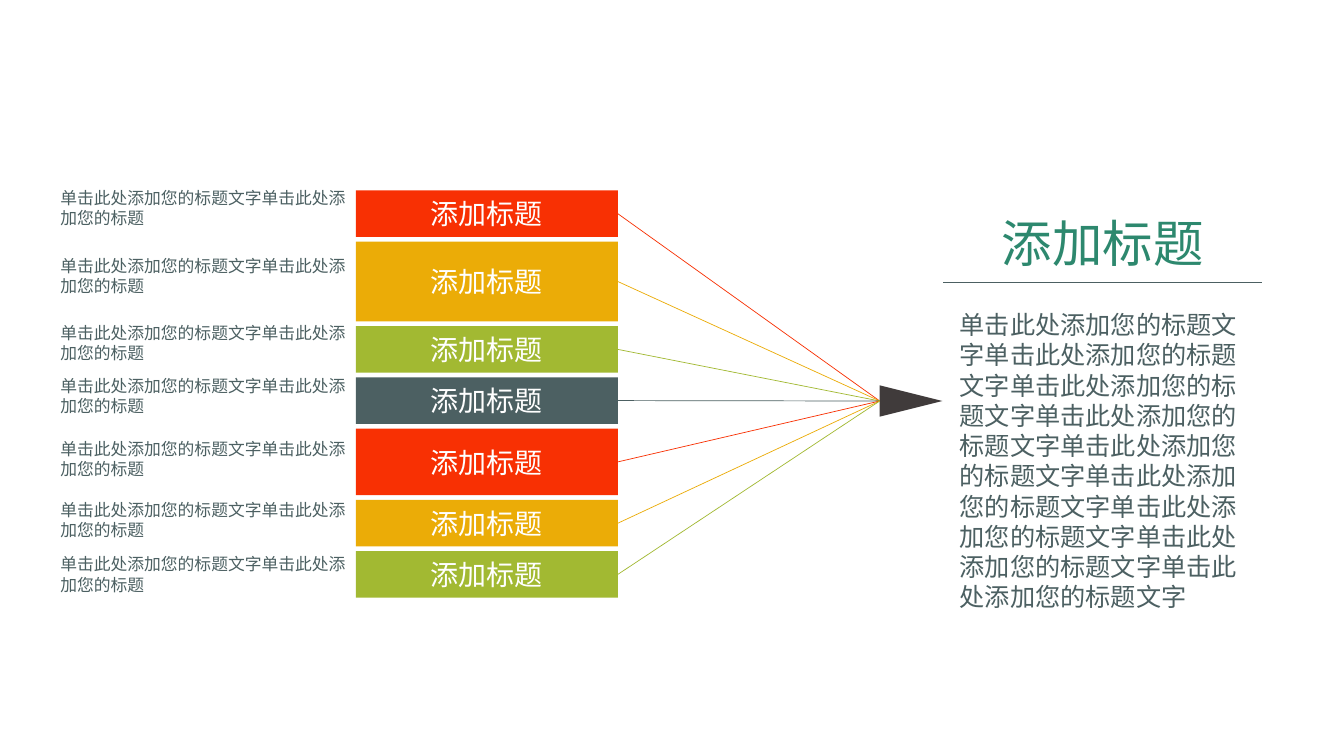
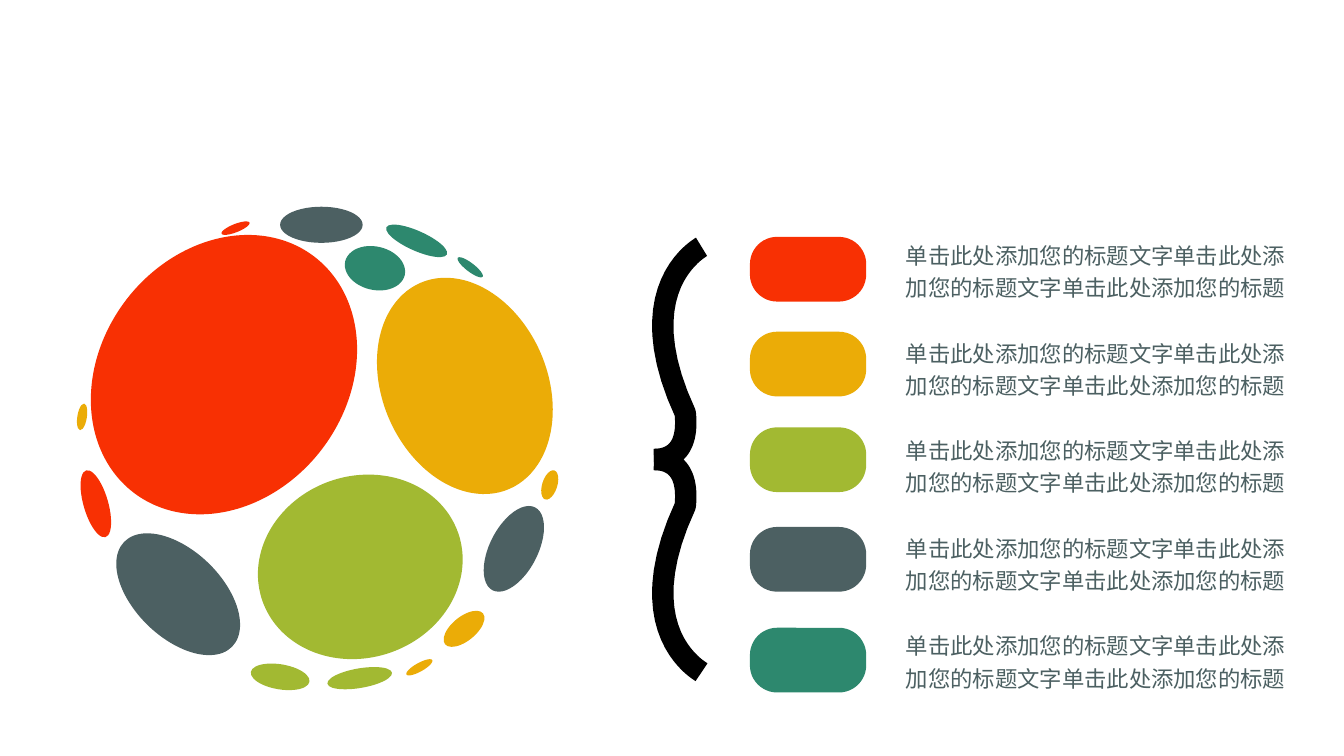
import math

from lxml import etree
from pptx import Presentation
from pptx.dml.color import RGBColor
from pptx.enum import shapes, text
from pptx.oxml import ns
from pptx.util import Cm, Pt

FONT = "Noto Sans CJK SC"
RED = RGBColor(0xF8, 0x30, 0x03)
AMBER = RGBColor(0xEB, 0xAC, 0x07)
LIME = RGBColor(0xA2, 0xB9, 0x32)
SLATE = RGBColor(0x4C, 0x60, 0x62)
TEAL = RGBColor(0x2D, 0x88, 0x6E)
CHARCOAL = RGBColor(0x40, 0x3B, 0x3B)
BLACK = RGBColor(0, 0, 0)
WHITE = RGBColor(0xFF, 0xFF, 0xFF)

HEADING = "添加标题"
CAPTION = "单击此处添加您的标题"
PHRASE = CAPTION + "文字"

# Bars from top to bottom: colour, height and top of the caption in cm
BARS = [
    (RED, 1.17, 4.60), (AMBER, 2.01, 6.32), (LIME, 1.17, 8.00),
    (SLATE, 1.17, 9.35), (RED, 1.68, 10.92), (AMBER, 1.17, 12.47),
    (LIME, 1.17, 13.84),
]
BAR_LEFT, BAR_TOP, BAR_WIDTH, BAR_GAP = 8.97, 4.80, 6.60, 0.12

# Legend keys: colour and top in cm
KEYS = [(RED, 5.97), (AMBER, 8.36), (LIME, 10.77), (SLATE, 13.28), (TEAL, 15.82)]
LEGEND_TOP, LEGEND_STEP = 5.84, 2.46

# Ovals of the globe: colour, bounds in cm, lean (-1 left to 1 right)
OVALS = [
    (RED, 2.29, 5.92, 6.71, 7.04, 0.18),
    (TEAL, 8.69, 6.20, 1.52, 1.12, -0.15),
    (AMBER, 9.50, 7.00, 4.43, 5.45, -0.22),
    (LIME, 6.50, 11.96, 5.16, 4.65, 0.08),
    (SLATE, 12.19, 12.75, 1.52, 2.16, 0.5),
    (SLATE, 2.93, 13.44, 3.12, 3.07, -0.5),
    (LIME, 6.32, 16.72, 1.48, 0.67, -0.3),
    (SLATE, 7.06, 5.21, 2.08, 0.91, 0),
    (RED, 5.58, 5.58, 0.71, 0.34, 0.75),
    (TEAL, 9.73, 5.66, 1.54, 0.82, -0.75),
    (TEAL, 11.53, 6.48, 0.64, 0.51, -0.85),
    (AMBER, 1.94, 10.17, 0.26, 0.67, 0.35),
    (RED, 2.03, 11.85, 0.77, 1.69, -0.55),
    (AMBER, 13.64, 11.85, 0.43, 0.74, 0.4),
    (LIME, 8.25, 16.81, 1.63, 0.56, 0.45),
    (AMBER, 10.24, 16.61, 0.66, 0.41, 0.8),
    (AMBER, 11.18, 15.39, 1.03, 0.91, 0.6),
]

# Upper half of the brace: two Bezier curves, in cm from the level of its nose
BRACE_MIDDLE = 11.58
BRACE_CURVES = [
    [(17.68, -5.36), (17.65, -5.33), (15.80, -4.34), (17.27, -1.17)],
    [(17.27, -1.17), (17.35, -0.40), (17.07, 0), (16.48, 0)],
]
CURVE_STEPS = 20


def place(shape, left, top, width, height):
    box = {"left": left, "top": top, "width": width, "height": height}
    for name, value in box.items():
        setattr(shape, name, Cm(value))


def write(shape, words, size, color, anchor=text.MSO_ANCHOR.TOP, **layout):
    """Fill a shape with one paragraph; layout holds paragraph attributes."""
    frame = shape.text_frame
    frame_format = {"word_wrap": True, "auto_size": text.MSO_AUTO_SIZE.NONE,
                    "vertical_anchor": anchor}
    for name, value in frame_format.items():
        setattr(frame, name, value)
    para = frame.paragraphs[0]
    for name, value in layout.items():
        setattr(para, name, value)
    span = para.add_run()
    span.text = words
    for name, value in {"name": FONT, "size": Pt(size)}.items():
        setattr(span.font, name, value)
    span.font.color.rgb = color
    east_asian = etree.Element(ns.qn("a:ea"), typeface=FONT)
    span.font._element.find(ns.qn("a:latin")).addnext(east_asian)
    return para


def add_preset(parent, kind, color, *bounds):
    shape = parent.add_shape(kind, *map(Cm, bounds))
    shape.shadow.inherit = False
    shape.fill.solid()
    shape.fill.fore_color.rgb = color
    shape.line.fill.background()
    return shape


def add_text(page, words, size, bounds, **layout):
    box = page.shapes.add_textbox(*map(Cm, bounds))
    write(box, words, size, SLATE, **layout)


def add_line(page, color, x1=0, y1=0, x2=0, y2=0):
    line = page.shapes.add_connector(
        shapes.MSO_CONNECTOR.STRAIGHT, Cm(x1), Cm(y1), Cm(x2), Cm(y2))
    line.line.color.rgb = color
    line.line.width = Pt(0.5)
    etree.SubElement(line._element.spPr, ns.qn("a:effectLst"))
    return line


def add_leaning_oval(parent, color, left, top, width, height, lean):
    """Add a turned oval that fits the bounds; lean says where it touches the top."""
    across, down = (width / 2) ** 2, (height / 2) ** 2
    shear = -lean * width * height / 4
    mean, spread = (across + down) / 2, math.hypot((across - down) / 2, shear)
    long_axis, short_axis = 2 * math.sqrt(mean + spread), 2 * math.sqrt(mean - spread)
    oval = add_preset(parent, shapes.MSO_SHAPE.OVAL, color,
                      left + (width - long_axis) / 2, top + (height - short_axis) / 2,
                      long_axis, short_axis)
    oval.rotation = math.degrees(math.atan2(2 * shear, across - down) / 2)


def curve_points(controls):
    for step in range(CURVE_STEPS + 1):
        t = step / CURVE_STEPS
        weights = [math.comb(3, k) * t ** k * (1 - t) ** (3 - k) for k in range(4)]
        yield tuple(sum(w * point[axis] for w, point in zip(weights, controls))
                    for axis in range(2))


def add_brace(page):
    half = [point for curve in BRACE_CURVES for point in curve_points(curve)]
    for side in (1, -1):
        start, *rest = [(Cm(x), Cm(BRACE_MIDDLE + side * y)) for x, y in half]
        builder = page.shapes.build_freeform(*start)
        builder.add_line_segments(rest, close=False)
        stroke = builder.convert_to_shape()
        stroke.shadow.inherit = False
        stroke.fill.background()
        stroke.line.color.rgb = BLACK
        stroke.line.width = Pt(15.3)


def build_bars_page(deck):
    page = deck.slides.add_slide(deck.slide_layouts[1])
    title, body = page.placeholders
    place(title, 24.64, 5.21, 6.30, 1.80)
    write(title, HEADING, 36, TEAL, alignment=text.PP_ALIGN.CENTER)
    place(body, 23.93, 7.67, 7.70, 7.95)
    para = write(body, PHRASE * 9, 18, SLATE, space_before=Pt(0))
    props = para._p.get_or_add_pPr()
    for name in ("marL", "indent"):
        props.set(name, "0")
    etree.SubElement(props, ns.qn("a:buNone"))
    add_line(page, SLATE, 23.77, 7.11, 31.80, 7.11)

    arrow = add_preset(page.shapes, shapes.MSO_SHAPE.RIGHT_ARROW, CHARCOAL,
                       22.17, 9.71, 1.58, 0.79)
    arrow.adjustments[1] = 2
    top = BAR_TOP
    for color, height, caption_top in BARS:
        bar = add_preset(page.shapes, shapes.MSO_SHAPE.RECTANGLE, color,
                         BAR_LEFT, top, BAR_WIDTH, height)
        write(bar, HEADING, 20, WHITE, text.MSO_ANCHOR.MIDDLE,
              alignment=text.PP_ALIGN.CENTER)
        line = add_line(page, color)
        line.begin_connect(bar, 3)
        line.end_connect(arrow, 1)
        add_text(page, PHRASE + CAPTION, 12, (1.27, caption_top, 7.70, 1.27))
        top += height + BAR_GAP


def build_globe_page(deck):
    page = deck.slides.add_slide(deck.slide_layouts[6])
    globe = page.shapes.add_group_shape().shapes
    for oval in OVALS:
        add_leaning_oval(globe, *oval)
    add_brace(page)
    for row, (color, key_top) in enumerate(KEYS):
        key = add_preset(page.shapes, shapes.MSO_SHAPE.ROUNDED_RECTANGLE, color,
                         18.90, key_top, 2.93, 1.63)
        key.adjustments[0] = 0.42
        add_text(page, PHRASE * 2 + CAPTION, 16,
                 (22.58, LEGEND_TOP + row * LEGEND_STEP, 10.52, 1.90),
                 line_spacing=1.2)


def main():
    deck = Presentation()
    deck.slide_width, deck.slide_height = Cm(33.87), Cm(19.05)
    build_bars_page(deck)
    build_globe_page(deck)
    deck.save("out.pptx")


if __name__ == "__main__":
    main()
